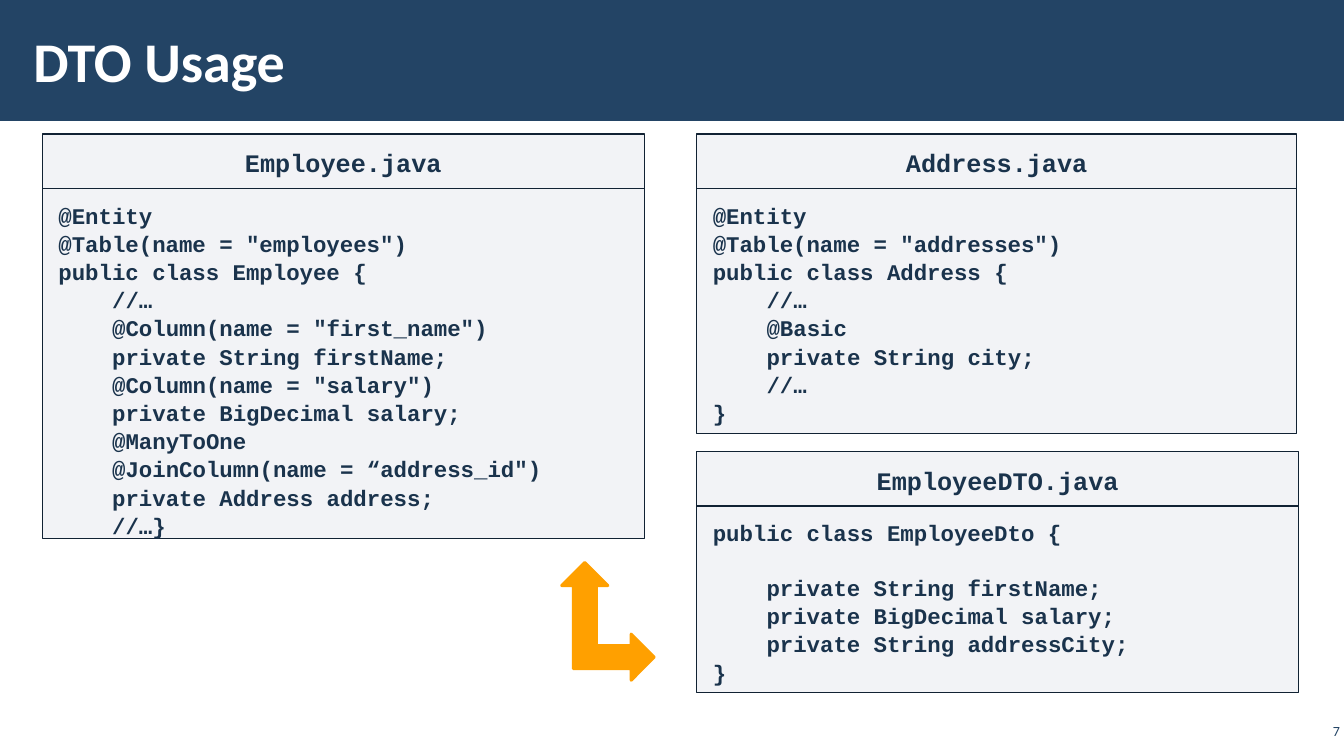
from pptx import Presentation
from pptx.dml.color import RGBColor
from pptx.enum.shapes import MSO_SHAPE
from pptx.enum.text import MSO_ANCHOR, PP_ALIGN
from pptx.oxml.ns import qn
from pptx.util import Inches, Pt
from lxml import etree

RECTANGLE, CORNER_ARROW = MSO_SHAPE.RECTANGLE, MSO_SHAPE.LEFT_UP_ARROW
TOP, MIDDLE = MSO_ANCHOR.TOP, MSO_ANCHOR.MIDDLE
LEFT, CENTER, RIGHT = PP_ALIGN.LEFT, PP_ALIGN.CENTER, PP_ALIGN.RIGHT

THEME = {
    "band": "234465", "white": "FFFFFF", "code": "1A334C",
    "panel": "ADB4C3", "panel_alpha": 15, "border": "112233", "arrow": "FFA000",
    "text_font": "Calibri", "code_font": "Courier New",
    "title_size": 40, "file_size": 18, "code_size": 16, "number_size": 10,
}
INDENT = Pt(4 * 0.6 * THEME["code_size"])  # four monospaced characters
LINE_SPACING = 1.05
BLANK_LINE = Pt(19)


def write(shape, text, size, color, font=THEME["text_font"], bold=False,
          align=LEFT, anchor=TOP, margins=(0.16, 0.12), spacing=1.0):
    """Fill a shape with text; leading spaces become indents, empty lines become gaps."""
    frame = shape.text_frame
    frame.word_wrap = True
    frame.vertical_anchor = anchor
    frame.margin_left = frame.margin_right = Inches(margins[0])
    frame.margin_top = frame.margin_bottom = Inches(margins[1])
    paragraph, gap = frame.paragraphs[0], False
    for index, line in enumerate(text.split("\n")):
        if not line:
            gap = True
            continue
        if index:
            paragraph = frame.add_paragraph()
        paragraph.alignment = align
        paragraph.line_spacing = spacing
        paragraph.space_before = BLANK_LINE if gap else Pt(0)
        gap = False
        if line.startswith(" "):
            properties = paragraph._p.get_or_add_pPr()
            properties.set("marL", str(INDENT))
            properties.set("indent", "0")
        run = paragraph.add_run()
        run.text = line.strip()
        run.font.name, run.font.size, run.font.bold = font, Pt(size), bold
        run.font.color.rgb = RGBColor.from_string(color)


def add_block(shapes, kind, box, fill, line=None, line_width=1, alpha=None):
    """Add a flat preset shape; box is left, top, width, height in inches."""
    shape = shapes.add_shape(kind, *map(Inches, box))
    shape.shadow.inherit = False
    shape.fill.solid()
    shape.fill.fore_color.rgb = RGBColor.from_string(fill)
    if alpha:
        color = shape.element.spPr.find(qn("a:solidFill"))[0]
        etree.SubElement(color, qn("a:alpha")).set("val", str(alpha * 1000))
    if line:
        shape.line.color.rgb = RGBColor.from_string(line)
        shape.line.width = Pt(line_width)
    else:
        shape.line.fill.background()
    return shape


presentation = Presentation()
presentation.slide_width, presentation.slide_height = Inches(13.33), Inches(7.5)
slide = presentation.slides.add_slide(presentation.slide_layouts[5])

# Title on its band
band = add_block(slide.shapes, RECTANGLE, (0, 0, 13.33, 1.2), THEME["band"])
title = slide.shapes.title
band.element.getparent().insert(2, band.element)
title.left, title.top, title.width, title.height = map(Inches, (0.21, 0.11, 10.39, 0.97))
write(title, "DTO Usage", THEME["title_size"], THEME["white"], bold=True,
      anchor=MIDDLE, margins=(0.12, 0.04))

# Slide number
number = slide.shapes.add_textbox(*map(Inches, (12.86, 7.14, 0.47, 0.22)))
write(number, "7", THEME["number_size"], THEME["band"], align=RIGHT,
      anchor=MIDDLE, margins=(0.04, 0.04))

# Code panels: file name, left, top, width, body height, code
LEFT_COLUMN, RIGHT_COLUMN = 0.42, 6.91
UPPER_ROW, LOWER_ROW = 1.33, 4.48
HEADER_HEIGHT = 0.54
PANELS = [
    ("Employee.java", LEFT_COLUMN, UPPER_ROW, 5.97, 3.47, """@Entity
@Table(name = "employees")
public class Employee {
    //…
    @Column(name = "first_name")
    private String firstName;
    @Column(name = "salary")
    private BigDecimal salary;
    @ManyToOne
    @JoinColumn(name = “address_id")
    private Address address;
    //…}"""),
    ("Address.java", RIGHT_COLUMN, UPPER_ROW, 5.95, 2.43, """@Entity
@Table(name = "addresses")
public class Address {
    //…
    @Basic
    private String city;
    //…
}"""),
    ("EmployeeDTO.java", RIGHT_COLUMN, LOWER_ROW, 5.97, 1.85, """public class EmployeeDto {

    private String firstName;
    private BigDecimal salary;
    private String addressCity;
}"""),
]
for file_name, left, top, width, body_height, code in PANELS:
    group = slide.shapes.add_group_shape()
    parts = [
        (code, top + HEADER_HEIGHT, body_height, THEME["code_size"], LEFT),
        (file_name, top, HEADER_HEIGHT, THEME["file_size"], CENTER),
    ]
    for text, part_top, height, size, align in parts:
        part = add_block(group.shapes, RECTANGLE, (left, part_top, width, height),
                         THEME["panel"], THEME["border"], alpha=THEME["panel_alpha"])
        write(part, text, size, THEME["code"], font=THEME["code_font"], bold=True,
              align=align, spacing=LINE_SPACING)

# Arrow from the DTO up to the entity
arrow = add_block(slide.shapes, CORNER_ARROW, (5.57, 5.58, 0.92, 1.17),
                  THEME["arrow"], THEME["arrow"], line_width=2)
arrow.element.spPr.find(qn("a:xfrm")).set("flipH", "1")

presentation.save("out.pptx")
